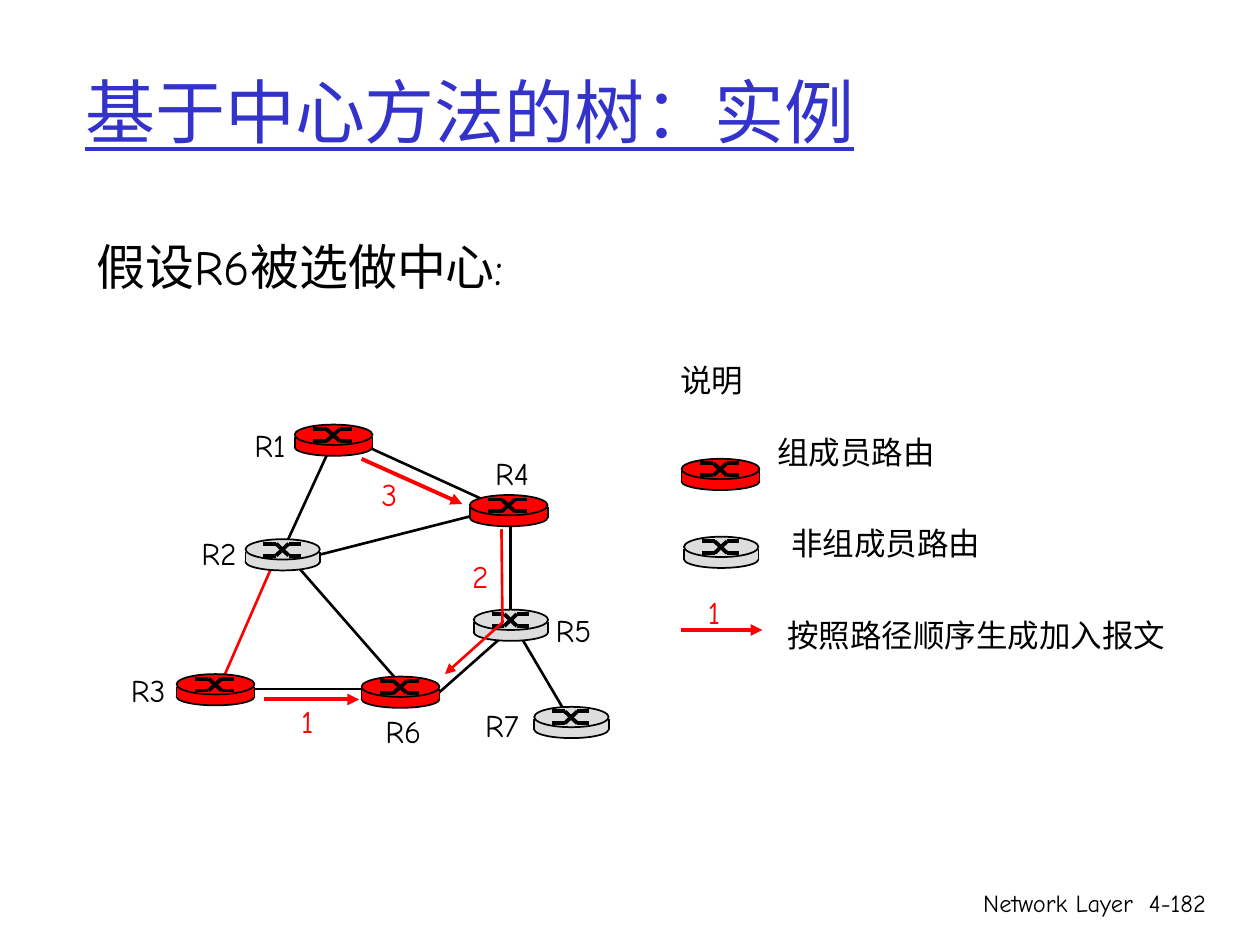
from lxml import etree
from pptx import Presentation
from pptx.dml.color import RGBColor
from pptx.enum.shapes import MSO_CONNECTOR, MSO_SHAPE
from pptx.enum.text import MSO_ANCHOR, PP_ALIGN
from pptx.oxml.ns import qn
from pptx.util import Cm, Pt

LINE = MSO_CONNECTOR.STRAIGHT
OVAL, RECT = MSO_SHAPE.OVAL, MSO_SHAPE.RECTANGLE
RIGHT, MIDDLE = PP_ALIGN.RIGHT, MSO_ANCHOR.MIDDLE
FONT = "Comic Neue"
BLACK, RED, GREY, BLUE = "000000", "FF0000", "DDDDDD", "3333CC"

# left and top of each router, left and top of its label, member or not
ROUTERS = {
    "R1": (5.94, 8.56, 4.88, 8.46, True),
    "R2": (4.95, 10.87, 3.81, 10.64, False),
    "R3": (3.56, 13.59, 2.39, 13.41, True),
    "R4": (9.47, 9.98, 9.73, 9.02, True),
    "R5": (9.55, 12.29, 10.95, 12.19, False),
    "R6": (7.29, 13.64, 7.52, 14.22, True),
    "R7": (10.77, 14.25, 9.53, 14.1, False),
}
LINKS = [
    (10.36, 12.6, 11.48, 14.5),
    (6.45, 11.18, 10.26, 10.21),
    (5.72, 11.1, 8.1, 13.82),
    (7.37, 8.99, 10.11, 10.24),
    (8.84, 13.97, 10.31, 12.67),
    (10.29, 10.52, 10.29, 12.5),
    (4.8, 13.89, 7.65, 13.89),
    (6.65, 9.04, 5.69, 11.13),
]
ARROWS = [
    (13.72, 12.7, 15.37, 12.7),
    (5.33, 14.1, 7.24, 14.1),
    (7.29, 9.25, 9.32, 10.16),
]
STEPS = [
    ("1", 14.02, 11.84, 0.79),
    ("1", 5.82, 14.02, 0.79),
    ("2", 9.27, 11.1, 0.89),
    ("3", 7.44, 9.45, 0.89),
]
LEGEND = [
    ("说明", 13.46, 7.16, 1.8),
    ("组成员路由", 15.42, 8.61, 3.71),
    ("非组成员路由", 15.7, 10.44, 4.37),
    ("按照路径顺序生成加入报文", 15.62, 12.29, 8.41),
]


def rgb(code):
    return RGBColor.from_string(code)


def add_text(slide, words, x, y, w, h=1.02, size=18, color=BLACK, wrap=False):
    box = slide.shapes.add_textbox(Cm(x), Cm(y), Cm(w), Cm(h))
    frame = box.text_frame
    frame.word_wrap = wrap
    frame.text = words
    font = frame.paragraphs[0].runs[0].font
    font.name, font.size = FONT, Pt(size)
    font.color.rgb = rgb(color)
    return frame


def add_head(line):
    """Put an arrowhead at the end of a line."""
    ln = line.line._get_or_add_ln()
    etree.SubElement(ln, qn("a:tailEnd"), type="triangle")


def add_line(shapes, ends, color=BLACK, width=1.5):
    line = shapes.add_connector(LINE, *[Cm(v) for v in ends])
    line.line.color.rgb = rgb(color)
    line.line.width = Pt(width)
    etree.SubElement(line._element.spPr, qn("a:effectLst"))
    return line


def add_part(shapes, kind, x, y, w, h, color, edged):
    part = shapes.add_shape(kind, Cm(x), Cm(y), Cm(w), Cm(h))
    part.shadow.inherit = False
    part.fill.solid()
    part.fill.fore_color.rgb = rgb(color)
    if edged:
        part.line.color.rgb = rgb(BLACK)
        part.line.width = Pt(1)
    else:
        part.line.fill.background()


def add_router(slide, x, y, member):
    """Draw a drum with a crossed mark on its lid."""
    color, w = (RED, 1.57) if member else (GREY, 1.5)
    shapes = slide.shapes.add_group_shape().shapes
    add_part(shapes, OVAL, x, y + 0.28, w, 0.35, color, True)
    add_part(shapes, RECT, x, y + 0.25, w, 0.21, color, False)
    for side in (x, x + w):
        add_line(shapes, (side, y + 0.25, side, y + 0.47), width=1)
    add_part(shapes, OVAL, x, y, w, 0.41, color, True)
    a, b, c, d = [x + w * part for part in (0.24, 0.41, 0.58, 0.74)]
    high, low = y + 0.09, y + 0.33
    for start, end in ((high, low), (low, high)):
        add_line(shapes, (a, start, b, start), width=2.25)
        add_line(shapes, (b, start, c, end), width=2.25)
        add_line(shapes, (c, end, d, end), width=2.25)


def add_route(slide, points):
    """Draw a bent red arrow through the points."""
    start, *rest = [(Cm(x), Cm(y)) for x, y in points]
    pen = slide.shapes.build_freeform(*start)
    pen.add_line_segments(rest, close=False)
    route = pen.convert_to_shape()
    route.shadow.inherit = False
    route.fill.background()
    route.line.color.rgb = rgb(RED)
    route.line.width = Pt(1.5)
    add_head(route)


def main():
    deck = Presentation()
    deck.slide_width, deck.slide_height = Cm(25.4), Cm(19.05)
    slide = deck.slides.add_slide(deck.slide_layouts[6])

    title = add_text(slide, "基于中心方法的树：实例", 1.47, 0.64, 21.59, 3.18,
                     40, BLUE, True)
    title.vertical_anchor = MIDDLE
    title.paragraphs[0].runs[0].font.underline = True
    add_text(slide, "假设R6被选做中心:", 1.7, 4.65, 22.23, 12.9, 28, wrap=True)

    for ends in LINKS:
        add_line(slide.shapes, ends)
    add_line(slide.shapes, (5.49, 11.4, 4.47, 13.74), RED)
    for name, (x, y, left, top, member) in ROUTERS.items():
        add_router(slide, x, y, member)
        add_text(slide, name, left, top, 1.3)

    add_router(slide, 13.74, 9.25, True)
    add_router(slide, 13.79, 10.82, False)
    for row in LEGEND:
        add_text(slide, *row)

    for ends in ARROWS:
        add_head(add_line(slide.shapes, ends, RED, 2.25))
    add_route(slide, [(10.11, 10.67), (10.13, 12.55), (8.97, 13.59)])
    for step in STEPS:
        add_text(slide, *step, color=RED)

    for words, x, w in (("Network Layer", 15.04, 8.05), ("4-182", 22.68, 1.88)):
        foot = add_text(slide, words, x, 17.78, w, 1.27, 14, wrap=True)
        foot.paragraphs[0].alignment = RIGHT
    deck.save("out.pptx")


if __name__ == "__main__":
    main()
